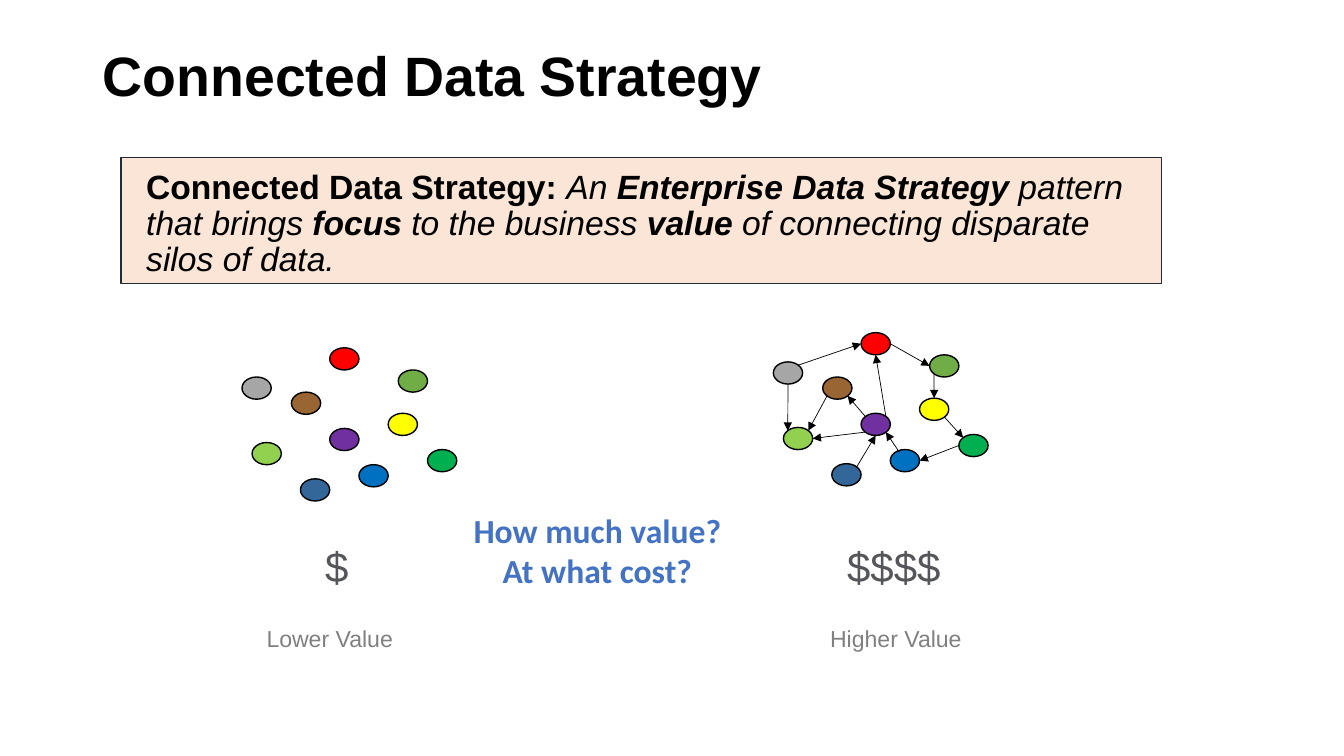
from typing import NamedTuple

from lxml.etree import SubElement
from pptx import Presentation
from pptx.dml.color import RGBColor
from pptx.enum.shapes import MSO_CONNECTOR, MSO_SHAPE
from pptx.enum.text import MSO_ANCHOR, PP_ALIGN
from pptx.oxml.ns import qn
from pptx.util import Inches, Pt

NODE_W, NODE_H = 0.29, 0.22


class Node(NamedTuple):
    x: float  # offset from the cluster's corner
    y: float
    color: str


class Arrow(NamedTuple):
    start: str
    start_site: str
    end: str
    end_site: str


class Label(NamedTuple):
    box: tuple[float, float, float, float]
    text: str
    size: float
    color: str
    font: str = "Arial"
    bold: bool = False
    wrap: bool = False


class Span(NamedTuple):
    text: str
    bold: bool = False
    italic: bool = True


# Points on an ellipse, as fractions of its width and height
SITES = {
    "top": (0.5, 0), "bottom": (0.5, 1), "left": (0, 0.5), "right": (1, 0.5),
    "top left": (0.15, 0.15), "top right": (0.85, 0.15),
    "bottom left": (0.15, 0.85), "bottom right": (0.85, 0.85),
    "upper left": (0.31, 0.12),
}

NODES = {
    "red": Node(0.87, 0, "FF0000"),
    "brown": Node(0.49, 0.44, "996633"),
    "purple": Node(0.87, 0.8, "7030A0"),
    "green": Node(1.55, 0.22, "70AD47"),
    "yellow": Node(1.45, 0.65, "FFFF00"),
    "lime": Node(0.1, 0.94, "92D050"),
    "blue": Node(1.16, 1.16, "0070C0"),
    "grey": Node(0, 0.29, "A6A6A6"),
    "emerald": Node(1.84, 1.01, "00B050"),
    "navy": Node(0.58, 1.3, "336699"),
}

ARROWS = [
    Arrow("grey", "top right", "red", "left"),
    Arrow("red", "right", "green", "left"),
    Arrow("green", "bottom left", "yellow", "top"),
    Arrow("yellow", "bottom right", "emerald", "top left"),
    Arrow("emerald", "left", "blue", "right"),
    Arrow("blue", "upper left", "purple", "bottom right"),
    Arrow("purple", "top left", "brown", "bottom right"),
    Arrow("brown", "bottom left", "lime", "top right"),
    Arrow("grey", "bottom", "lime", "top left"),
    Arrow("purple", "top right", "red", "bottom"),
    Arrow("purple", "bottom left", "lime", "right"),
    Arrow("navy", "top right", "purple", "bottom"),
]

LABELS = [
    Label((3.12, 5.31, 0.44, 0.61), "$", 30, "55565A"),
    Label((8.3, 5.31, 1.13, 0.61), "$$$$", 30, "55565A"),
    Label((2.52, 6.15, 1.5, 0.38), "Lower Value", 16.5, "808080"),
    Label((8.11, 6.15, 1.55, 0.38), "Higher Value", 16.5, "808080"),
    Label((4.38, 5.01, 3.09, 0.91), "How much value?\nAt what cost?", 24,
          "4472C4", "Calibri", bold=True, wrap=True),
]

DEFINITION = [
    Span("Connected Data Strategy: ", bold=True, italic=False),
    Span("An "),
    Span("Enterprise Data Strategy ", bold=True),
    Span("pattern that brings "),
    Span("focus", bold=True),
    Span(" to the business "),
    Span("value", bold=True),
    Span(" of connecting disparate silos of data."),
]


def rgb(color: str) -> RGBColor:
    return RGBColor.from_string(color)


def style_run(r, size: float, color: str, font: str = "Arial",
              bold: bool = False, italic: bool = False) -> None:
    r.font.name = font
    r.font.size = Pt(size)
    r.font.bold = bold
    r.font.italic = italic
    r.font.color.rgb = rgb(color)


def add_filled(shapes, kind: MSO_SHAPE, box: tuple, fill: str, line: str, width: float):
    s = shapes.add_shape(kind, *map(Inches, box))
    s.shadow.inherit = False
    s.fill.solid()
    s.fill.fore_color.rgb = rgb(fill)
    s.line.color.rgb = rgb(line)
    s.line.width = Pt(width)
    return s


def add_label(shapes, label: Label):
    s = shapes.add_textbox(*map(Inches, label.box))
    tf = s.text_frame
    tf.text = label.text
    tf.word_wrap = label.wrap
    for p in tf.paragraphs:
        p.alignment = PP_ALIGN.CENTER
        for r in p.runs:
            style_run(r, label.size, label.color, label.font, label.bold)
    return s


def add_arrow(shapes, left: float, top: float, arrow: Arrow) -> None:
    ends = []
    for name, site in (arrow[:2], arrow[2:]):
        node, (fx, fy) = NODES[name], SITES[site]
        ends += [left + node.x + fx * NODE_W, top + node.y + fy * NODE_H]
    s = shapes.add_connector(MSO_CONNECTOR.STRAIGHT, *map(Inches, ends))
    s.line.color.rgb = rgb("000000")
    s.line.width = Pt(0.5)
    SubElement(s.line._get_or_add_ln(), qn("a:tailEnd"), type="triangle")
    SubElement(s._element.spPr, qn("a:effectLst"))


def add_cluster(shapes, left: float, top: float, arrows: list[Arrow]) -> None:
    group = shapes.add_group_shape()
    for node in NODES.values():
        box = (left + node.x, top + node.y, NODE_W, NODE_H)
        add_filled(group.shapes, MSO_SHAPE.OVAL, box, node.color, "000000", 1)
    for arrow in arrows:
        add_arrow(group.shapes, left, top, arrow)


def main() -> None:
    prs = Presentation()
    prs.slide_width, prs.slide_height = Inches(13.33), Inches(7.5)
    shapes = prs.slides.add_slide(prs.slide_layouts[6]).shapes

    # Title
    title = Label((0.92, 0.4, 11.5, 0.76), "Connected Data Strategy", 39.6,
                  "000000", bold=True, wrap=True)
    tf = add_label(shapes, title).text_frame
    tf.vertical_anchor = MSO_ANCHOR.MIDDLE
    tf.paragraphs[0].alignment = PP_ALIGN.LEFT
    tf.paragraphs[0].line_spacing = 0.9

    # Definition box
    s = add_filled(shapes, MSO_SHAPE.RECTANGLE, (1.2, 1.56, 10.32, 1.25),
                   "FBE5D6", "222A35", 0.75)
    tf = s.text_frame
    tf.word_wrap = True
    tf.vertical_anchor = MSO_ANCHOR.TOP
    tf.margin_left = tf.margin_right = Inches(0.25)
    tf.margin_top = tf.margin_bottom = Inches(0.13)
    p = tf.paragraphs[0]
    p.alignment = PP_ALIGN.LEFT
    p.line_spacing = 0.9
    p.space_before = Pt(10)
    for span in DEFINITION:
        r = p.add_run()
        r.text = span.text
        style_run(r, 24, "000000", bold=span.bold, italic=span.italic)

    # Separate and connected data, with their captions
    add_cluster(shapes, 2.4, 3.45, [])
    add_cluster(shapes, 7.67, 3.3, ARROWS)
    for label in LABELS:
        add_label(shapes, label)

    prs.save("out.pptx")


if __name__ == "__main__":
    main()
